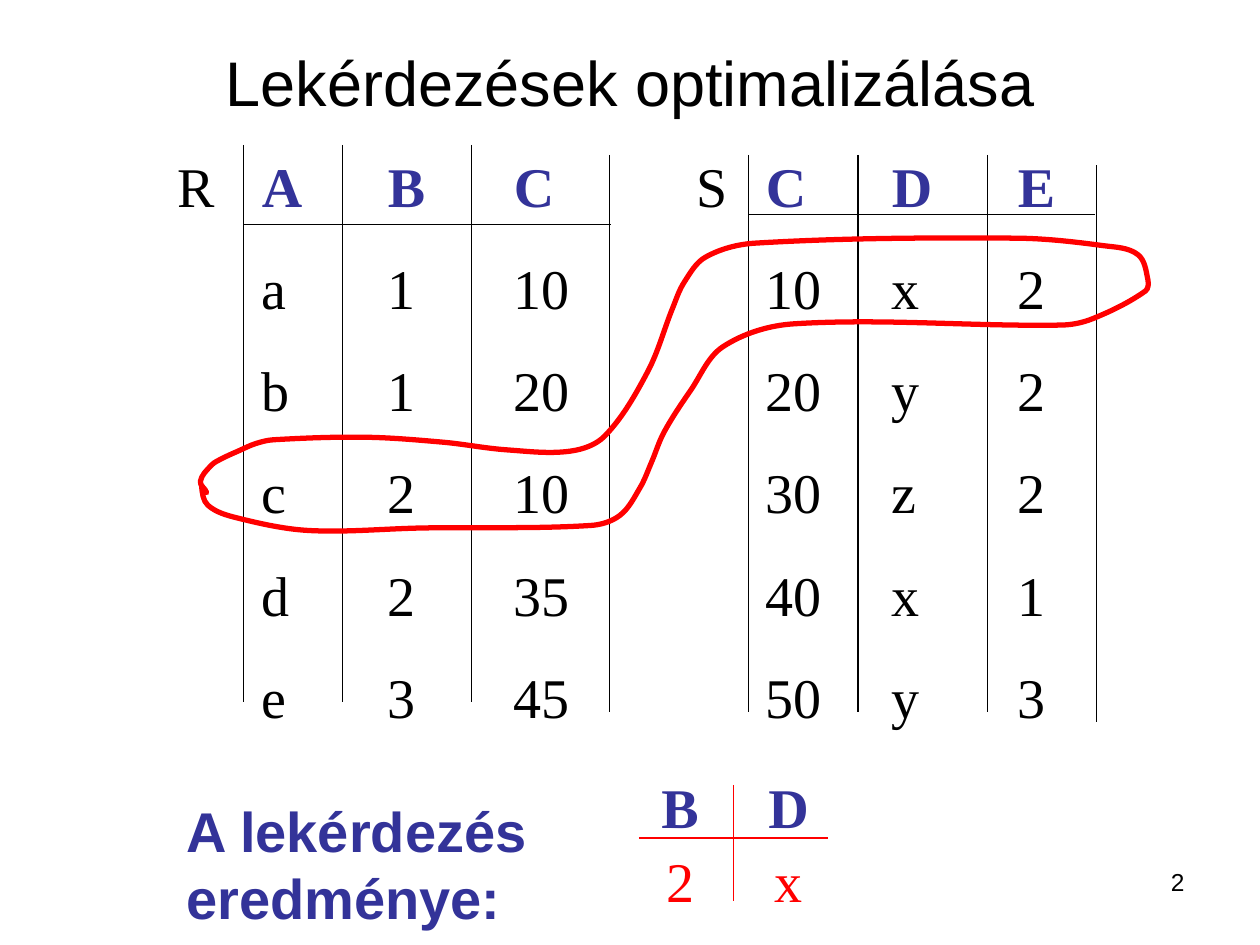
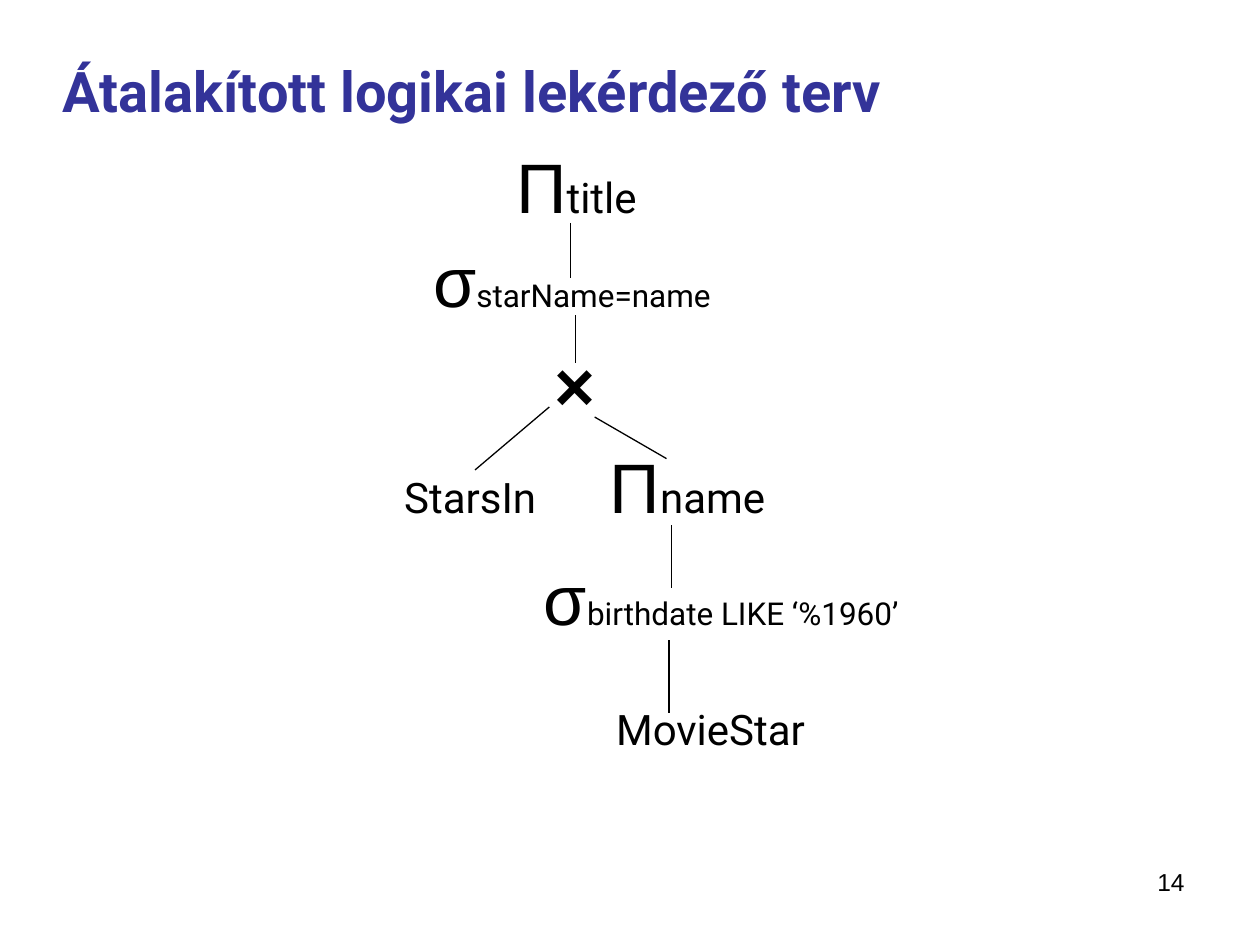
from math import dist

from lxml import etree
from pptx import Presentation
from pptx.dml.color import RGBColor
from pptx.enum.shapes import MSO_CONNECTOR
from pptx.enum.text import MSO_ANCHOR, PP_ALIGN
from pptx.oxml.ns import qn
from pptx.util import Inches, Pt

STRAIGHT = MSO_CONNECTOR.STRAIGHT
TOP, MIDDLE = MSO_ANCHOR.TOP, MSO_ANCHOR.MIDDLE
LEFT, CENTER, RIGHT = PP_ALIGN.LEFT, PP_ALIGN.CENTER, PP_ALIGN.RIGHT

COLORS = {"ink": "000000", "accent": "333399", "mark": "FF0000"}
COLUMNS = 100
STYLES = {
    "title": {"size": Pt(36), "name": "Arial", "bold": False, "color": "ink"},
    "heading": {"size": Pt(32), "name": "Roboto", "bold": True, "color": "accent"},
    "caption": {"size": Pt(32), "name": "Arial", "bold": True, "color": "accent"},
    "attribute": {"size": Pt(32), "name": "Times New Roman", "bold": True, "color": "accent"},
    "value": {"size": Pt(32), "name": "Times New Roman", "bold": False, "color": "ink"},
    "result": {"size": Pt(32), "name": "Times New Roman", "bold": False, "color": "mark"},
    "operator": {"size": Pt(40), "name": "Arial", "bold": False, "color": "ink"},
    "product": {"size": Pt(40), "name": "Arial", "bold": True, "color": "ink"},
    "relation": {"size": Pt(24), "name": "Roboto", "bold": False, "color": "ink"},
    "condition": {"size": Pt(18), "name": "Roboto", "bold": False, "color": "ink"},
    "page": {"size": Pt(14), "name": "Arial", "bold": False, "color": "ink"},
}

RELATION_ROWS = [
    "a 1 10 10 x 2",
    "b 1 20 20 y 2",
    "c 2 10 30 z 2",
    "d 2 35 40 x 1",
    "e 3 45 50 y 3",
]
RELATION_TABS = [(3.3, "l"), (10, "l"), (20, "l"), (30, "l"),
                 (44.5, "l"), (50, "l"), (60, "l"), (70, "l")]
RESULT_TABS = [(3.3, "ctr"), (11.9, "ctr")]
RULE_TOPS = {11.5: [19.3, 27.2, 37.4], 12.3: [48.4, 59.4, 68.1, 78.4], 13.1: [87]}
RULE_LENGTH = 44.2
JOIN_LOOP = [
    (16, 38.6), (16.5, 40.1), (18.8, 41.1), (24.5, 42.1), (33.6, 41.9),
    (46.9, 41.7), (49.2, 40.9), (50.8, 38.7), (51.7, 36.7), (52.7, 34.3),
    (54.8, 31), (57.4, 27.5), (63, 25.7), (84.2, 25.8), (86.7, 25.3),
    (90.9, 23.1), (91.1, 22.2), (90.3, 20.2), (87.6, 19.5), (80.6, 18.9),
    (59.9, 19.3), (56, 20.4), (54.3, 22.4), (53.4, 24.4), (51.4, 29.5),
    (48, 34.6), (45.3, 35.8), (40.2, 35.7), (35.2, 35.1), (29, 34.7),
    (21.7, 34.9), (20.3, 35.2), (18.9, 35.8), (17.6, 36.4), (16.8, 36.9),
    (15.9, 38.2), (16.4, 39.1),
]


class Deck:
    """Holds the shared style and the current slide, measured in grid columns."""

    def __init__(self):
        self.presentation = Presentation()
        self.presentation.slide_width = Inches(10)
        self.presentation.slide_height = Inches(7.5)
        self.unit = self.presentation.slide_width / COLUMNS
        self.slide = None

    def emu(self, *lengths):
        return [round(length * self.unit) for length in lengths]

    def color(self, name):
        return RGBColor.from_string(COLORS[name])

    def new_slide(self, number):
        layout = self.presentation.slide_layouts[6]
        self.slide = self.presentation.slides.add_slide(layout)
        self.text((71.7, 68.3, 23.3, 5.2), [[(str(number), "page")]], align=RIGHT)

    def text(self, area, paragraphs, align=LEFT, anchor=TOP, wrap=True, gap=0, tabs=()):
        frame = self.slide.shapes.add_textbox(*self.emu(*area)).text_frame
        margins = {"margin_left": 1, "margin_right": 1, "margin_top": 0.5, "margin_bottom": 0.5}
        for side, width in margins.items():
            setattr(frame, side, self.emu(width)[0])
        frame.word_wrap = wrap
        frame.vertical_anchor = anchor
        for index, runs in enumerate(paragraphs):
            paragraph = frame.add_paragraph() if index else frame.paragraphs[0]
            self.tab_stops(paragraph, tabs)
            paragraph.alignment = align
            paragraph.space_before = Pt(gap if index else 0)
            for wording, style in runs:
                run = paragraph.add_run()
                run.text = wording
                self.format(run.font, STYLES[style])

    def format(self, font, style):
        for attribute, value in style.items():
            if attribute == "color":
                font.color.rgb = self.color(value)
            else:
                setattr(font, attribute, value)

    def tab_stops(self, paragraph, tabs):
        if tabs:
            stops = etree.SubElement(paragraph._p.get_or_add_pPr(), qn("a:tabLst"))
            for position, kind in tabs:
                etree.SubElement(stops, qn("a:tab"), pos=str(self.emu(position)[0]), algn=kind)

    def line(self, start, end, color="ink"):
        rule = self.slide.shapes.add_connector(STRAIGHT, *self.emu(*start, *end))
        rule.line.color.rgb = self.color(color)
        rule.line.width = Pt(0.75)
        etree.SubElement(rule._element.spPr, qn("a:effectLst"))

    def smooth_loop(self, grid_points, color):
        points = [self.emu(*point) for point in grid_points]
        builder = self.slide.shapes.build_freeform(*points[0], scale=1.0)
        builder.add_line_segments(points[1:] + points[:1], close=True)
        loop = builder.convert_to_shape()
        loop.shadow.inherit = False
        loop.fill.background()
        loop.line.color.rgb = self.color(color)
        loop.line.width = Pt(3)
        segments = list(loop._element.iter(qn("a:lnTo")))
        for index, segment in enumerate(segments):
            before, start, end, after = (points[(index + step) % len(points)]
                                         for step in (-1, 0, 1, 2))
            reach = dist(start, end) / 3
            leave = self.step(start, before, end, reach)
            arrive = self.step(end, after, start, reach)
            curve = etree.Element(qn("a:cubicBezTo"))
            for x, y in (leave, arrive, end):
                etree.SubElement(curve, qn("a:pt"), x=str(round(x - loop.left)),
                                 y=str(round(y - loop.top)))
            segment.getparent().replace(segment, curve)

    def step(self, origin, tail, head, reach):
        span = dist(tail, head)
        return [o + (h - t) * reach / span for o, t, h in zip(origin, tail, head)]


def relations_slide(deck):
    deck.new_slide(2)
    header = [("\tR", "value"), ("\tA\tB\tC", "attribute"),
              ("\tS", "value"), ("\tC\tD\tE", "attribute")]
    rows = [header]
    for row in RELATION_ROWS:
        cells = row.split()
        wording = "\t\t" + "\t".join(cells[:3]) + "\t\t" + "\t".join(cells[3:])
        rows.append([(wording, "value")])
    deck.text((9.8, 11.5, 80.8, 46.9), rows, gap=20, tabs=RELATION_TABS)
    for top, columns in RULE_TOPS.items():
        for column in columns:
            deck.line((column, top), (column, top + RULE_LENGTH))
    deck.line((19.3, 17.8), (48.5, 17.8))
    deck.line((59.4, 17), (86.9, 17))
    deck.smooth_loop(JOIN_LOOP, "mark")
    deck.text((49.7, 60.8, 17, 11.8), [[("\tB\tD", "attribute")], [("\t2\tx", "result")]],
              gap=4, tabs=RESULT_TABS)
    deck.line((50.7, 66.5), (65.7, 66.5), "mark")
    deck.line((58.2, 62.3), (58.2, 71.5), "mark")
    deck.text((5, 3, 90, 6.9), [[("Lekérdezések optimalizálása", "title")]], CENTER, MIDDLE)
    deck.text((13.8, 62.7, 32.3, 11.7), [[("A lekérdezés eredménye:", "caption")]])


def plan_slide(deck):
    deck.new_slide(14)
    deck.text((4, 2.3, 91.6, 9.7), [[("Átalakított logikai lekérdező terv", "heading")]],
              anchor=MIDDLE)
    nodes = [
        ((39.6, 10.9, 12.3, 7.7), [("Π", "operator"), ("title", "relation")]),
        ((32.9, 18.3, 25, 7.7), [("σ", "operator"), ("starName=name", "condition")]),
        ((42.4, 26.6, 6.4, 7.7), [("×", "product")]),
        ((41.6, 43.6, 31.3, 7.7), [("σ", "operator"), ("birthdate LIKE ‘%1960’", "condition")]),
        ((47.1, 55.3, 18.6, 5), [("MovieStar", "relation")]),
    ]
    for area, runs in nodes:
        deck.text(area, [runs], CENTER, MIDDLE, wrap=False)
    deck.text((31.1, 34.7, 36, 7.7),
              [[("StarsIn\t", "relation"), ("Π", "operator"), ("name", "relation")]],
              anchor=MIDDLE, tabs=[(16.3, "l")])
    branches = [
        ((45.3, 17.7), (45.3, 22.1)),
        ((45.7, 25), (45.7, 28.8)),
        ((43.6, 32.3), (37.7, 37.3)),
        ((47.2, 33.1), (52.9, 36.4)),
        ((53.3, 41.7), (53.3, 46.7)),
        ((53.1, 50.8), (53.1, 56.6)),
    ]
    for start, end in branches:
        deck.line(start, end)


def main():
    deck = Deck()
    relations_slide(deck)
    plan_slide(deck)
    deck.presentation.save("out.pptx")


if __name__ == "__main__":
    main()
